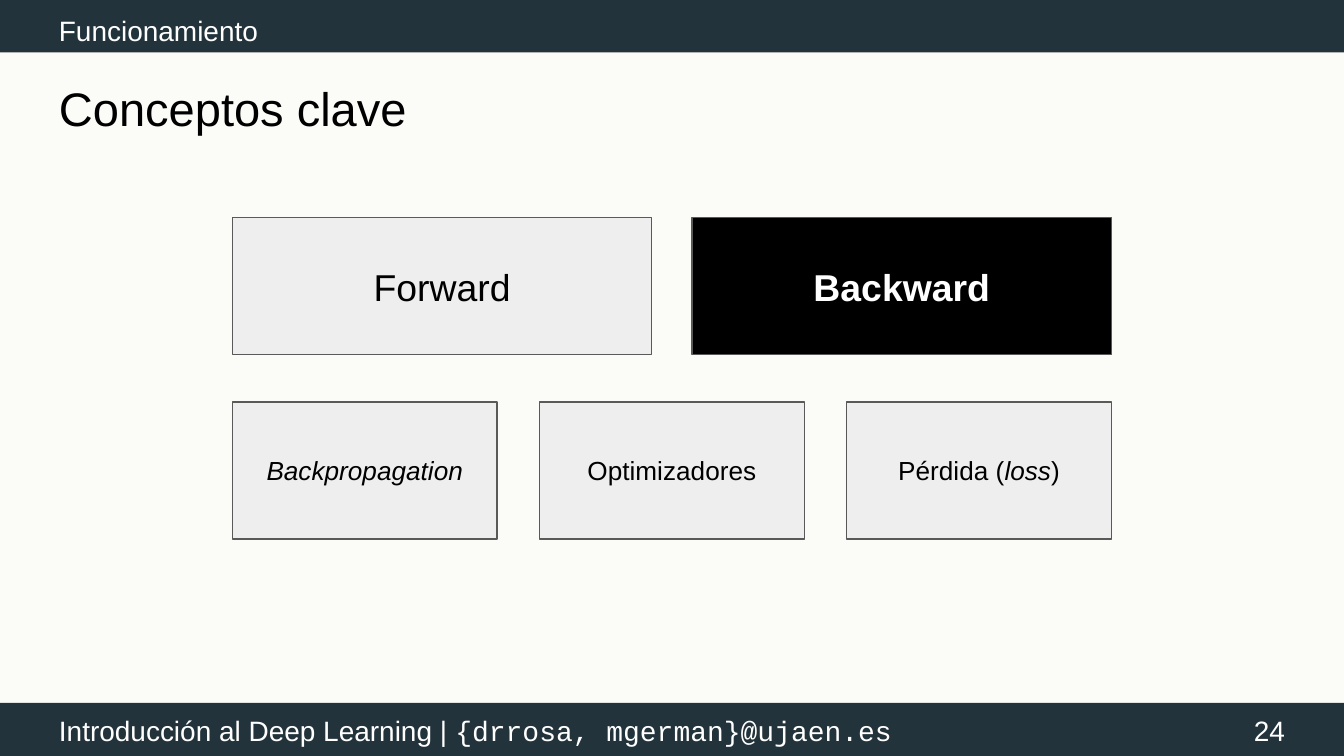
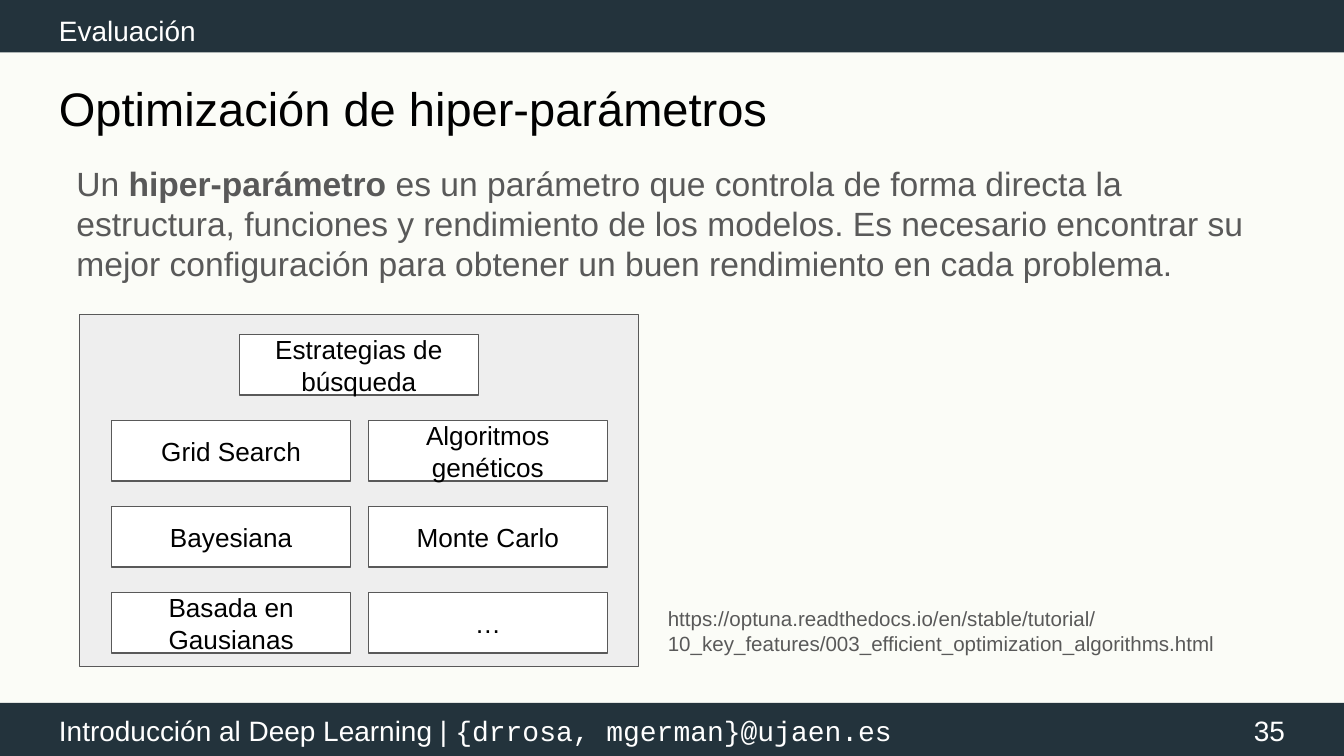
"""Build two slides of a deep learning course."""
from dataclasses import dataclass

from pptx import Presentation
from pptx import util as u
from pptx.dml.color import RGBColor
from pptx.enum import shapes, text


@dataclass(frozen=True)
class Theme:
    """Hold the colours, fonts and type sizes."""
    back: str = "FBFCF7"
    band: str = "23333C"
    panel: str = "EEEEEE"
    grey: str = "595959"
    white: str = "FFFFFF"
    black: str = "000000"
    sans: str = "Arial"
    mono: str = "Courier New"
    title: float = 25.2
    large: float = 20
    body: float = 18
    bar: float = 15
    label: float = 14
    small: float = 11


T = Theme()
LEFT = 0.34


def rgb(code):
    """Turn a hex code into a colour."""
    return RGBColor.from_string(code)


def write(shape, runs, size, color, align=text.PP_ALIGN.LEFT,
          anchor=text.MSO_ANCHOR.TOP, space=None, inset=0.1):
    """Write one paragraph; a run is a string or a (string, style) pair."""
    frame = shape.text_frame
    frame.word_wrap = True
    frame.vertical_anchor = anchor
    frame.margin_left = frame.margin_top = u.Inches(0.1)
    frame.margin_bottom = u.Inches(0.1)
    frame.margin_right = u.Inches(inset)
    para = frame.paragraphs[0]
    para.alignment = align
    if space:
        para.line_spacing = space
    for item in runs:
        words, style = (item, {}) if isinstance(item, str) else item
        run = para.add_run()
        run.text = words
        font = run.font
        font.name = style.get("name", T.sans)
        font.size = u.Pt(size)
        font.color.rgb = rgb(color)
        font.bold = style.get("bold", False)
        font.italic = style.get("italic", False)


def add_text(slide, at, runs, size, color, **style):
    """Add a text box."""
    shape = slide.shapes.add_textbox(*map(u.Inches, at))
    write(shape, runs, size, color, **style)


def add_box(slide, at, fill, line=None):
    """Add a rectangle, with an outline if a line colour is given."""
    box = slide.shapes.add_shape(shapes.MSO_SHAPE.RECTANGLE, *map(u.Inches, at))
    box.shadow.inherit = False
    box.fill.solid()
    box.fill.fore_color.rgb = rgb(fill)
    if line:
        box.line.color.rgb = rgb(line)
        box.line.width = u.Pt(0.75)
    else:
        box.line.fill.background()
    return box


def add_card(slide, at, runs, size=T.label, fill=T.panel, color=T.black):
    """Add an outlined rectangle with centred text."""
    box = add_box(slide, at, fill, T.grey)
    write(box, runs, size, color, text.PP_ALIGN.CENTER, text.MSO_ANCHOR.MIDDLE)


def add_slide(deck, topic, title, number):
    """Add a slide with its bands, topic, title and footer."""
    slide = deck.slides.add_slide(deck.slide_layouts[6])
    slide.background.fill.solid()
    slide.background.fill.fore_color.rgb = rgb(T.back)
    for top in (-0.02, 5.23):
        add_box(slide, (-0.02, top, 10.04, 0.41), T.band)
    footer = ["Introducción al Deep Learning | ",
              ("{drrosa, mgerman}@ujaen.es", {"name": T.mono})]
    add_text(slide, (LEFT, 5.21, 7.19, 0.45), footer, T.bar, T.white)
    add_text(slide, (LEFT, 0.49, 9.32, 0.63), [title], T.title, T.black)
    add_text(slide, (9.06, 5.22, 0.6, 0.43), [str(number)], T.bar, T.white,
             align=text.PP_ALIGN.RIGHT, anchor=text.MSO_ANCHOR.MIDDLE)
    add_text(slide, (LEFT, -0.04, 8.07, 0.45), [topic], T.bar, T.white,
             space=1.15)
    return slide


def add_concepts(deck):
    """Add the slide of key concepts."""
    slide = add_slide(deck, "Funcionamiento", "Conceptos clave", 24)
    left, right, high = 1.73, 8.27, 1.02
    wide = 3.12
    add_card(slide, (left, 1.62, wide, high), ["Forward"], T.large)
    add_card(slide, (right - wide, 1.62, wide, high),
             [("Backward", {"bold": True})], T.large, T.black, T.white)
    slant = {"italic": True}
    parts = [[("Backpropagation", slant)], ["Optimizadores"],
             ["Pérdida (", ("loss", slant), ")"]]
    wide = 1.97
    step = (right - left - wide) / (len(parts) - 1)
    for col, runs in enumerate(parts):
        add_card(slide, (left + col * step, 2.99, wide, high), runs)


def add_tuning(deck):
    """Add the slide of hyperparameter search."""
    slide = add_slide(deck, "Evaluación", "Optimización de hiper-parámetros", 35)
    add_text(slide, (0.47, 1.11, 9.19, 3.85), [
        "Un ", ("hiper-parámetro ", {"bold": True}),
        "es un parámetro que controla de forma directa la estructura, "
        "funciones y rendimiento de los modelos. Es necesario encontrar su "
        "mejor configuración para obtener un buen rendimiento en cada "
        "problema."], T.body, T.grey)
    add_box(slide, (0.59, 2.34, 4.16, 2.62), T.panel, T.grey)
    wide, high, top, step = 1.78, 0.45, 2.49, 0.64
    add_card(slide, (1.78, top, wide, high), ["Estrategias de búsqueda"],
             fill=T.white)
    grid = [("Grid Search", "Bayesiana", "Basada en Gausianas"),
            ("Algoritmos genéticos", "Monte Carlo", "…")]
    for col, names in enumerate(grid):
        for row, name in enumerate(names, 1):
            at = (0.83 + col * 1.91, top + row * step, wide, high)
            add_card(slide, at, [name], fill=T.white)
    add_text(slide, (4.87, 4.41, 4.65, 0.57), [
        "https://optuna.readthedocs.io/en/stable/tutorial/"
        "10_key_features/003_efficient_optimization_algorithms.html"],
        T.small, T.grey, inset=0.35)


def main():
    """Build and save the deck."""
    deck = Presentation()
    deck.slide_width = u.Inches(10)
    deck.slide_height = deck.slide_width * 9 // 16
    add_concepts(deck)
    add_tuning(deck)
    deck.save("out.pptx")


if __name__ == "__main__":
    main()
